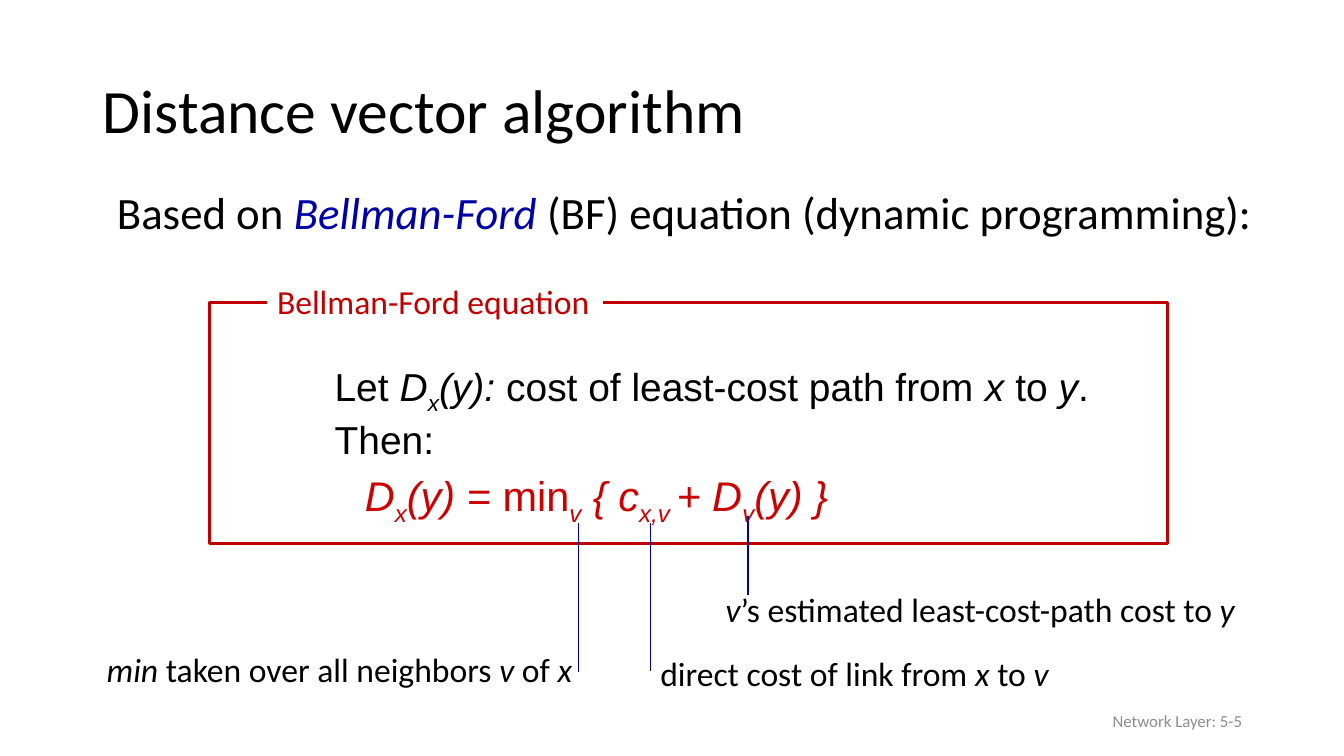
from lxml import etree
from pptx import Presentation
from pptx import util as u
from pptx.dml.color import RGBColor
from pptx.enum import shapes, text
from pptx.oxml import ns

WIDE, HIGH = u.Inches(13.33), u.Inches(7.5)
HUES = {"ink": "000000", "blue": "0000A8", "edge": "C00000",
        "math": "CC0000", "page": "FFFFFF", "foot": "8C8C8C"}

# Runs are (words, marks): i = italic, s = subscript, b = blue
INTRO = [("Based on ", ""), ("Bellman-Ford", "ib"),
         (" (BF) equation (dynamic programming):", "")]
LET = [("Let ", ""), ("D", "i"), ("x", "is"), ("(y): ", "i"),
       ("cost of least-cost path from ", ""), ("x", "i"), (" to ", ""),
       ("y", "i"), (".", "")]
THEN = [("Then:", "")]
MATH = [("D", "i"), ("x", "is"), ("(y) = ", "i"), ("min", ""), ("v", "is"),
        (" { c", "i"), ("x,v ", "is"), ("+ D", "i"), ("v", "is"),
        ("(y) }", "i")]

# Callouts: text box, line x, line top, line foot, runs
NOTES = [
    ((7.2, 85.2, 36.46, 6.67), 43.06, 69.2, 88.93,
     [("min", "i"), (" taken over all neighbors", ""), (" v ", "i"),
      ("of ", ""), ("x", "i")]),
    ((53.26, 77.2, 39.83, 6.67), 55.66, 68.27, 78.67,
     [("v", "i"), ("’s estimated least-cost-path cost to ", ""),
      ("y", "i")]),
    ((48.39, 85.73, 30.61, 6.67), 48.39, 69.2, 88.8,
     [("direct cost of link from", ""), (" x ", "i"), ("to ", ""),
      ("v", "i")]),
]


def hue(name):
    return RGBColor.from_string(HUES[name])


def spot(left, top):
    """Turn shares of the slide, in percent, into lengths."""
    return int(WIDE * left / 100), int(HIGH * top / 100)


def area(box):
    return spot(*box[:2]) + spot(*box[2:])


def assign(item, form):
    for name, value in form.items():
        setattr(item, name, value)


def write(para, runs, size, tone="ink", face="Calibri", **form):
    assign(para, form)
    for words, marks in runs:
        run = para.add_run()
        run.text = words
        assign(run.font, {"size": u.Pt(size), "name": face,
                          "italic": "i" in marks})
        run.font.color.rgb = hue("blue" if "b" in marks else tone)
        if "s" in marks:
            run._r.get_or_add_rPr().set("baseline", "-25000")


def indent(para, left):
    props = para._p.get_or_add_pPr()
    props.set("marL", str(u.Inches(left)))
    props.set("indent", "0")


def holder(shape, box, runs, size, **form):
    """Move a placeholder and fill it with one plain line."""
    assign(shape, dict(zip(("left", "top", "width", "height"), area(box))))
    frame = shape.text_frame
    frame.auto_size = text.MSO_AUTO_SIZE.NONE
    write(frame.paragraphs[0], runs, size,
          alignment=text.PP_ALIGN.LEFT, **form)
    return frame.paragraphs[0]


def label(slide, box, wrap=False, **form):
    frame = slide.shapes.add_textbox(*area(box)).text_frame
    assign(frame, {"word_wrap": wrap, **form})
    return frame


def panel(slide, box, fill=None, edge=None):
    shape = slide.shapes.add_shape(shapes.MSO_SHAPE.RECTANGLE, *area(box))
    shape.shadow.inherit = False
    if fill:
        shape.fill.solid()
        shape.fill.fore_color.rgb = hue(fill)
    else:
        shape.fill.background()
    if edge:
        shape.line.color.rgb = hue(edge)
        shape.line.width = u.Pt(2)
    else:
        shape.line.fill.background()
    return shape


def stem(slide, x, top, foot):
    line = slide.shapes.add_connector(
        shapes.MSO_CONNECTOR.STRAIGHT, *spot(x, top), *spot(x, foot))
    line.line.color.rgb = hue("blue")
    line.line.width = u.Pt(1)
    etree.SubElement(line._element.spPr, ns.qn("a:effectLst"))


def main():
    deck = Presentation()
    deck.slide_width, deck.slide_height = WIDE, HIGH
    slide = deck.slides.add_slide(deck.slide_layouts[1])

    # Title and opening line
    holder(slide.shapes.title, (6.9, 5.33, 86.27, 19.33),
           [("Distance vector algorithm", "")], 44, line_spacing=0.9)
    intro = holder(slide.placeholders[1], (6.9, 25.2, 88.75, 7.6),
                   INTRO, 32, line_spacing=0.8, space_before=u.Pt(10))
    indent(intro, 0.14)
    etree.SubElement(intro._p.get_or_add_pPr(), ns.qn("a:buNone"))

    # Equation inside its frame
    frame = label(slide, (23.03, 48, 65.27, 28.8), wrap=True)
    rows = [(LET, 27.8, "ink", 0.15), (THEN, 27.8, "ink", 0.15),
            (MATH, 29.6, "math", 0.45)]
    for i, (runs, size, tone, left) in enumerate(rows):
        para = frame.add_paragraph() if i else frame.paragraphs[0]
        write(para, runs, size, tone, "Arial",
              line_spacing=0.8, space_before=u.Pt(10))
        indent(para, left)
    panel(slide, (15.6, 40, 71.27, 31.87), edge="edge")
    tab = panel(slide, (19.88, 36.53, 24.98, 6.67), fill="page").text_frame
    tab.word_wrap = False
    write(tab.paragraphs[0], [("Bellman-Ford equation", "")], 24, "edge",
          alignment=text.PP_ALIGN.LEFT)

    # Callouts with their stems
    for box, x, top, foot, runs in NOTES:
        write(label(slide, box).paragraphs[0], runs, 24)
        stem(slide, x, top, foot)

    # Footer
    foot = label(slide, (70.67, 92.67, 22.5, 5.33), wrap=True,
                 vertical_anchor=text.MSO_ANCHOR.MIDDLE)
    write(foot.paragraphs[0], [("Network Layer: 5-5", "")], 12, "foot",
          alignment=text.PP_ALIGN.RIGHT)

    deck.save("out.pptx")


if __name__ == "__main__":
    main()
